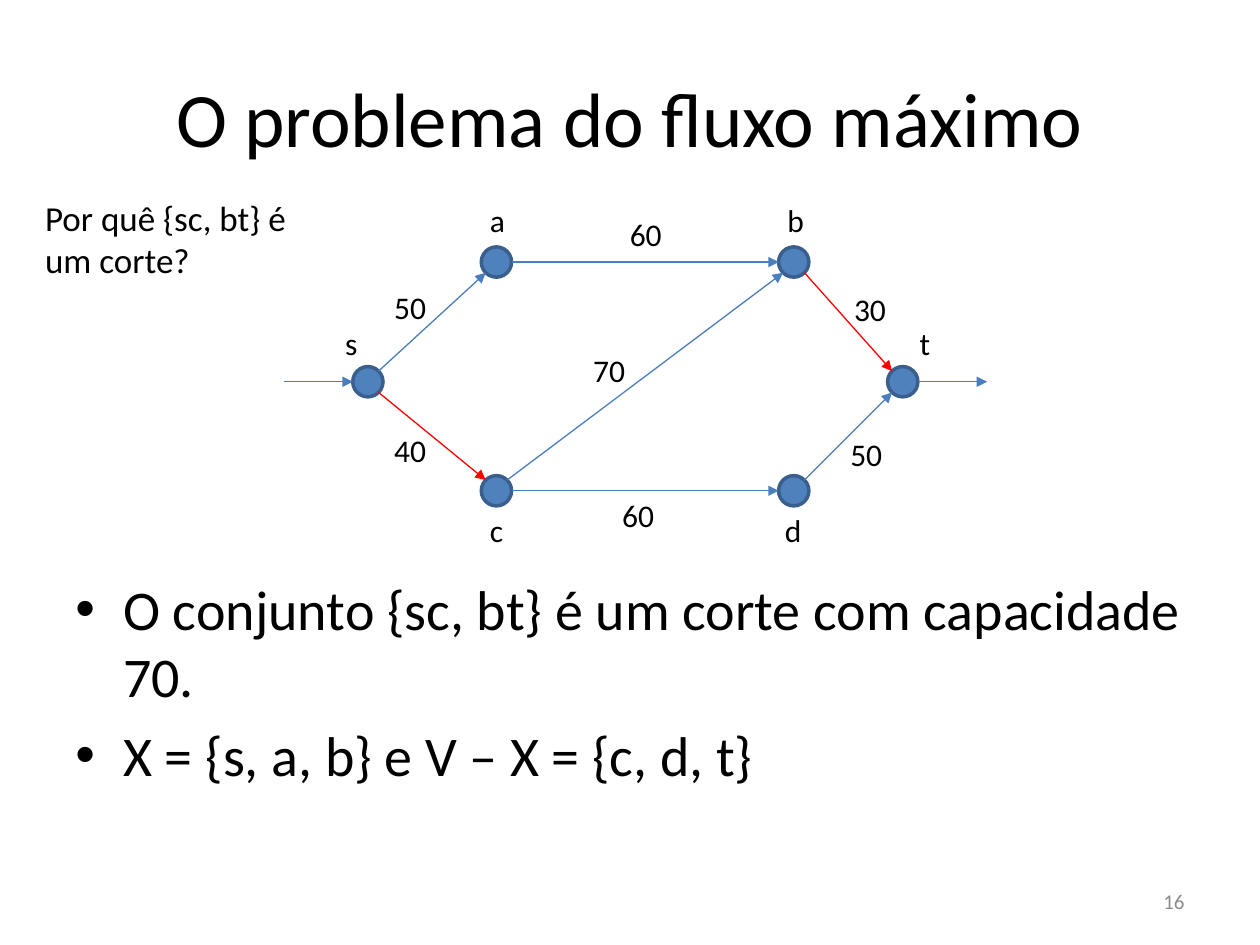
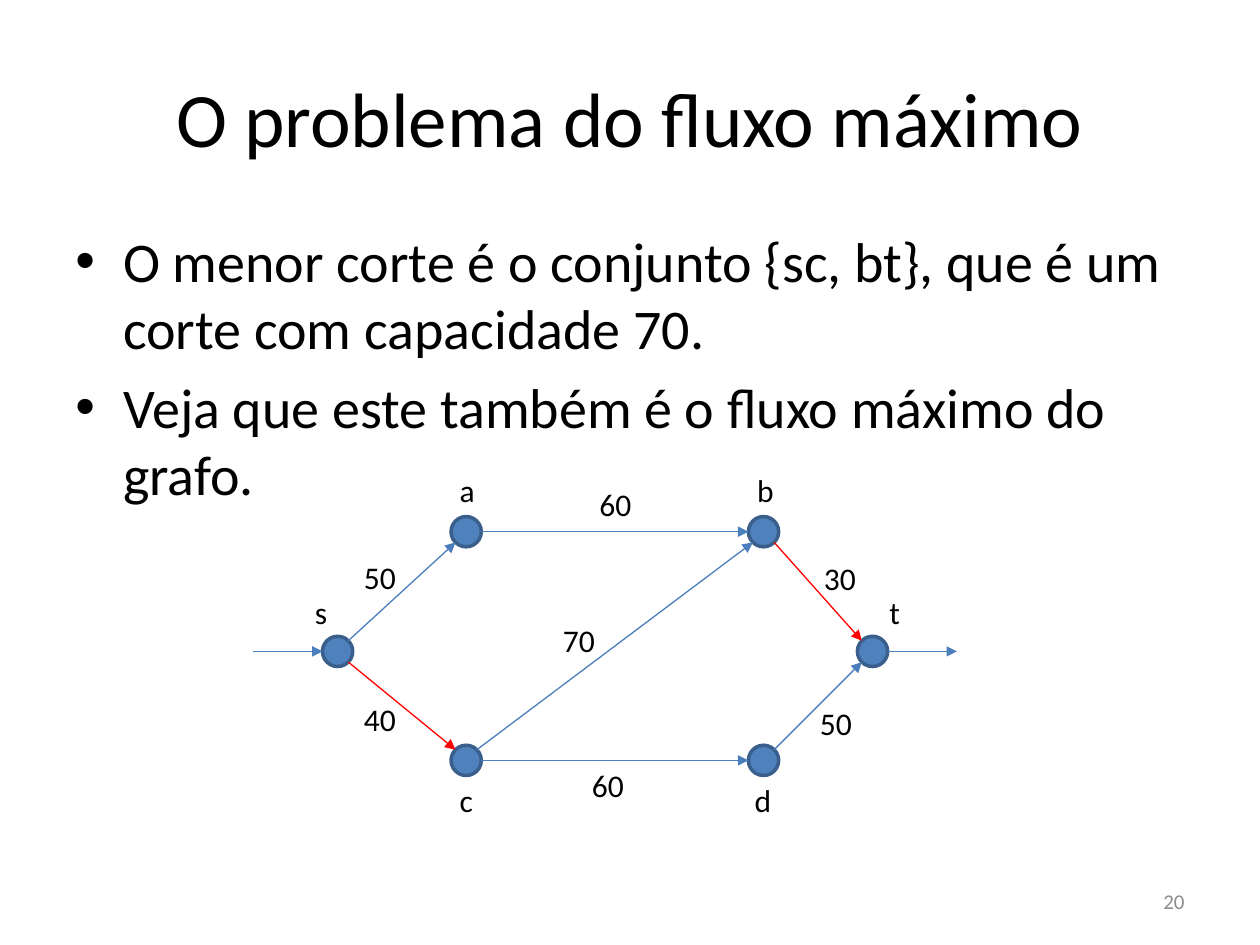
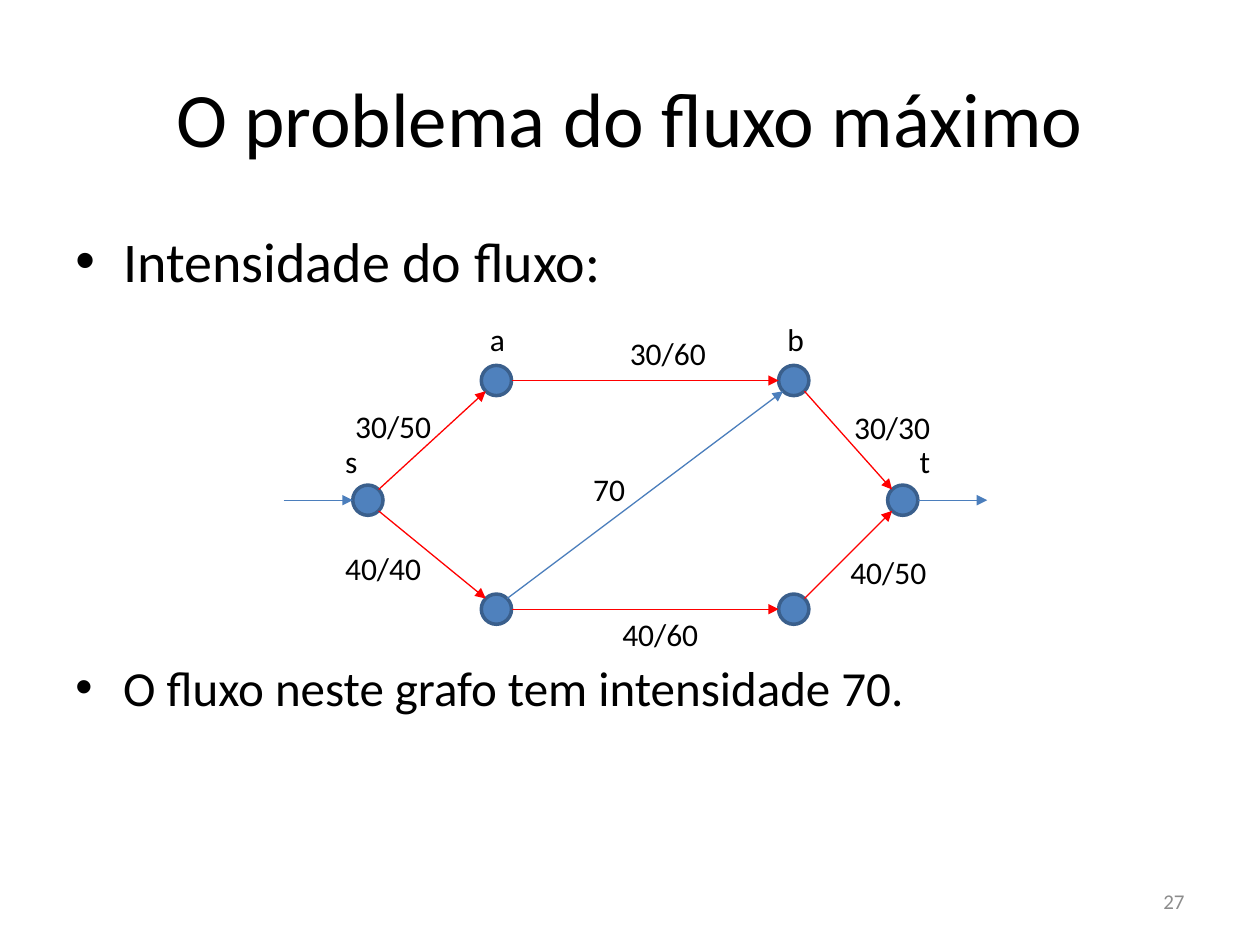
import math

from lxml import etree
from pptx import Presentation
from pptx.dml.color import RGBColor
from pptx.enum.shapes import MSO_CONNECTOR, MSO_SHAPE
from pptx.enum.text import MSO_ANCHOR, PP_ALIGN
from pptx.oxml.ns import qn
from pptx.util import Inches, Pt

STRAIGHT = MSO_CONNECTOR.STRAIGHT
OVAL = MSO_SHAPE.OVAL
TOP, MIDDLE = MSO_ANCHOR.TOP, MSO_ANCHOR.MIDDLE
LEFT, CENTER, RIGHT = PP_ALIGN.LEFT, PP_ALIGN.CENTER, PP_ALIGN.RIGHT

SLIDE_WIDTH, SLIDE_HEIGHT = Inches(10), Inches(7.5)
COLUMNS = 100
CELL = SLIDE_WIDTH / COLUMNS

FONT = "Calibri"
BLACK, GRAY = "000000", "8C8C8C"
NODE_FILL, NODE_LINE = "4F81BD", "3A5F8C"
EDGE_BLUE, EDGE_RED = "4B7EBC", "FF0000"

TITLE = "O problema do fluxo máximo"
TITLE_BOX = (5, 3, 90, 12.5)
BODY_BOX = (5, 17.5, 90, 49.5)
NUMBER_BOX = (71.7, 69.5, 23.3, 4)

RADIUS = 1.2
TERMINAL = 5.5
NODES = {
    "a": (17, 5.3), "s": (6.8, 14.8), "c": (17, 23.45),
    "b": (40.6, 5.3), "d": (40.6, 23.45), "t": (49.25, 14.8),
}
NODE_LABELS = {
    "s": (4, 9.7), "t": (49.6, 9.7), "a": (15.5, 0),
    "b": (39.1, 0), "c": (15.5, 24.6), "d": (38.9, 24.6),
}
EDGE_LABELS = {
    "sa": (7.9, 6.9), "ab": (26.6, 1.1), "bt": (44.4, 7), "cb": (23.7, 11.9),
    "sc": (7.9, 18.2), "cd": (26, 23.4), "dt": (44.1, 18.5),
}
LABEL_WIDTHS = {1: 3.1, 2: 4.6, 5: 8.1}
CAPACITIES = {"sa": "50", "ab": "60", "bt": "30", "cb": "70",
              "sc": "40", "cd": "60", "dt": "50"}
FLOWS = {"sa": "30/50", "ab": "30/60", "bt": "30/30", "cb": "70",
         "sc": "40/40", "cd": "40/60", "dt": "40/50"}
CUT = ("sc", "bt")


def color(value):
    return RGBColor.from_string(value)


def cells(*lengths):
    return [round(length * CELL) for length in lengths]


def add_text(slide, box, lines, size, ink=BLACK, align=LEFT, anchor=TOP,
             wrap=True, bullets=False):
    frame = slide.shapes.add_textbox(*cells(*box)).text_frame
    frame.word_wrap = wrap
    frame.vertical_anchor = anchor
    for index, line in enumerate(lines):
        paragraph = frame.paragraphs[0] if index == 0 else frame.add_paragraph()
        paragraph.text = line
        paragraph.alignment = align
        if index:
            paragraph.space_before = Pt(size * 0.2)
        if bullets:
            add_bullet(paragraph)
        paragraph.font.name = FONT
        paragraph.font.size = Pt(size)
        paragraph.font.color.rgb = color(ink)


def add_bullet(paragraph):
    properties = paragraph._p.get_or_add_pPr()
    properties.set("marL", str(Inches(0.38)))
    properties.set("indent", str(-Inches(0.38)))
    etree.SubElement(properties, qn("a:buFont")).set("typeface", "Arial")
    etree.SubElement(properties, qn("a:buChar")).set("char", "•")


def add_arrow(slide, start, end, ink):
    arrow = slide.shapes.add_connector(STRAIGHT, *cells(*start, *end))
    arrow.line.color.rgb = color(ink)
    arrow.line.width = Pt(0.75)
    etree.SubElement(arrow.line._get_or_add_ln(), qn("a:tailEnd")).set("type", "triangle")
    etree.SubElement(arrow._element.spPr, qn("a:effectLst"))


def rim_points(start, end):
    across = (end[0] > start[0]) - (end[0] < start[0])
    down = (end[1] > start[1]) - (end[1] < start[1])
    reach = RADIUS / math.hypot(across, down)
    step_x, step_y = across * reach, down * reach
    return (start[0] + step_x, start[1] + step_y), (end[0] - step_x, end[1] - step_y)


def add_graph(slide, left, top, edge_values, red_edges, named_nodes="stabcd", shifts=None):
    shifts = shifts or {}
    centers = {name: (left + x, top + y) for name, (x, y) in NODES.items()}
    for x, y in centers.values():
        node = slide.shapes.add_shape(
            OVAL, *cells(x - RADIUS, y - RADIUS, 2 * RADIUS, 2 * RADIUS))
        node.shadow.inherit = False
        node.fill.solid()
        node.fill.fore_color.rgb = color(NODE_FILL)
        node.line.color.rgb = color(NODE_LINE)
        node.line.width = Pt(2)

    for edge in edge_values:
        start, end = rim_points(centers[edge[0]], centers[edge[1]])
        add_arrow(slide, start, end, EDGE_RED if edge in red_edges else EDGE_BLUE)
    source_x, source_y = centers["s"]
    sink_x, sink_y = centers["t"]
    add_arrow(slide, (source_x - RADIUS - TERMINAL, source_y),
              (source_x - RADIUS, source_y), EDGE_BLUE)
    add_arrow(slide, (sink_x + RADIUS, sink_y),
              (sink_x + RADIUS + TERMINAL, sink_y), EDGE_BLUE)

    labels = [(value, EDGE_LABELS[edge], shifts.get(edge, 0))
              for edge, value in edge_values.items()]
    labels += [(name, NODE_LABELS[name], 0) for name in named_nodes]
    for label, (x, y), shift in labels:
        box = (left + x + shift, top + y, LABEL_WIDTHS[len(label)], 4)
        add_text(slide, box, [label], 18, wrap=False)


def add_flow_slide(deck, number, bullets, body_box=BODY_BOX):
    slide = deck.slides.add_slide(deck.slide_layouts[6])
    add_text(slide, TITLE_BOX, [TITLE], 44, align=CENTER, anchor=MIDDLE)
    add_text(slide, body_box, bullets, 32, bullets=True)
    add_text(slide, NUMBER_BOX, [number], 12, ink=GRAY, align=RIGHT, anchor=MIDDLE)
    return slide


def main():
    deck = Presentation()
    deck.slide_width, deck.slide_height = SLIDE_WIDTH, SLIDE_HEIGHT

    cut = add_flow_slide(deck, "16", [
        "O conjunto {sc, bt} é um corte com capacidade 70.",
        "X = {s, a, b} e V – X = {c, d, t}",
    ], (5, 45.1, 90, 21.9))
    add_graph(cut, 22.4, 15.5, CAPACITIES, CUT)
    add_text(cut, (2.6, 15.1, 22.6, 7.7), ["Por quê {sc, bt} é um corte?"], 20)

    smallest_cut = add_flow_slide(deck, "20", [
        "O menor corte é o conjunto {sc, bt}, que é um corte com capacidade 70.",
        "Veja que este também é o fluxo máximo do grafo.",
    ])
    add_graph(smallest_cut, 20, 36.9, CAPACITIES, CUT)

    intensity = add_flow_slide(deck, "27", ["Intensidade do fluxo:"])
    add_graph(intensity, 22.4, 24.9, FLOWS, set(FLOWS) - {"cb"}, "stab",
              {"sa": -3.1, "sc": -3.9})
    add_text(intensity, (5, 51.7, 90, 15.3),
             ["O fluxo neste grafo tem intensidade 70."], 28, bullets=True)

    deck.save("out.pptx")


if __name__ == "__main__":
    main()
